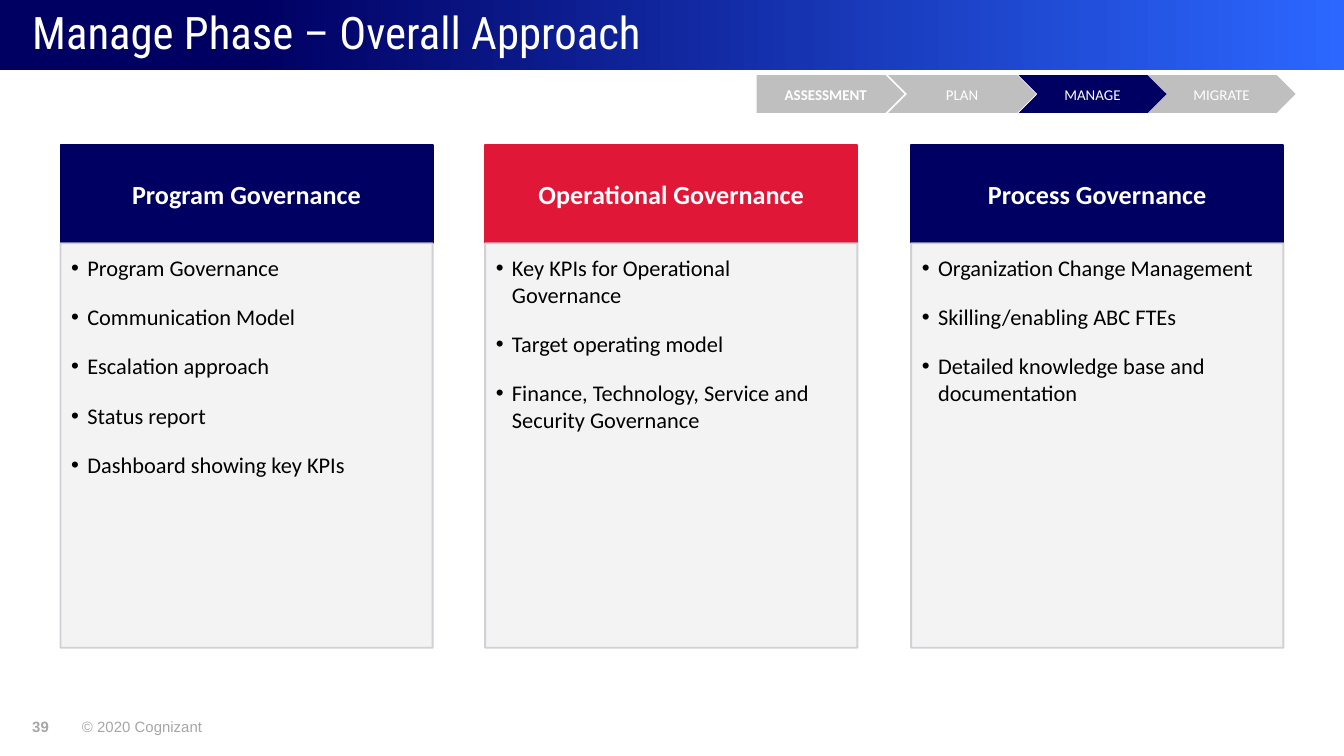
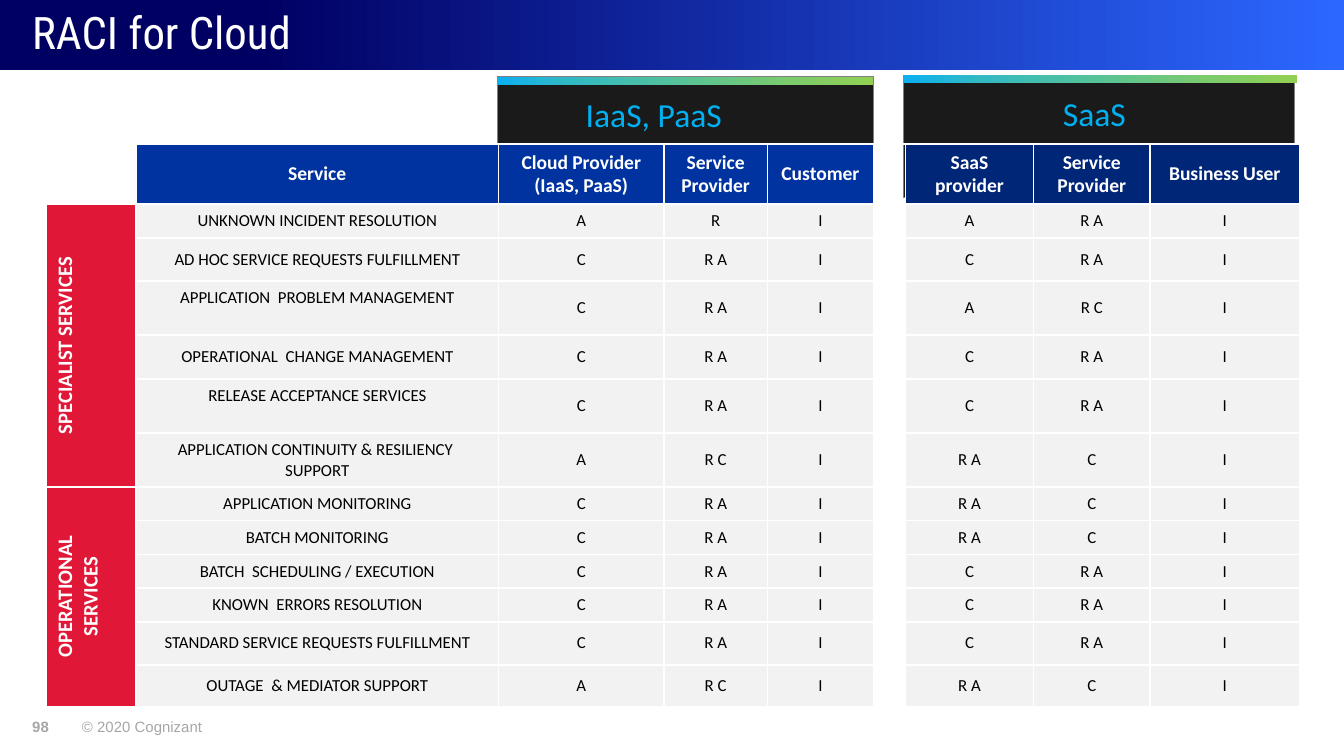
"""Builds two slides on cloud governance: the manage phase and the RACI table."""
from lxml import etree
from pptx import Presentation
from pptx.dml.color import RGBColor
from pptx.enum.shapes import MSO_SHAPE
from pptx.enum.text import MSO_ANCHOR, MSO_AUTO_SIZE, PP_ALIGN
from pptx.oxml.ns import qn
from pptx.util import Pt

RECTANGLE, CHEVRON, PENTAGON = MSO_SHAPE.RECTANGLE, MSO_SHAPE.CHEVRON, MSO_SHAPE.PENTAGON
TOP, MIDDLE = MSO_ANCHOR.TOP, MSO_ANCHOR.MIDDLE
LEFT, CENTER = PP_ALIGN.LEFT, PP_ALIGN.CENTER
GROW = MSO_AUTO_SIZE.SHAPE_TO_FIT_TEXT

PX = 9144
NAVY, RED, WHITE, BLACK = "000063", "E11737", "FFFFFF", "000000"
PALE, GREY, FOOTER_GREY, EDGE = "F2F2F2", "BFBFBF", "A6A6A6", "CCCCD3"
ROYAL, DEEP_BLUE, CHARCOAL, MID_GREY, SKY = "0033A0", "002678", "1A1A1A", "808080", "00B0F0"
BAND_STOPS = [(19, NAVY), (100, "2C67FF")]
STRIPE_STOPS = [(0, "0BB0F0"), (19, "31B9C4"), (78, "7CCB6C"), (100, "92D053")]
BODY_FONT, TITLE_FONT, FOOTER_FONT = "Calibri", "Roboto Condensed", "Arial"
NO_INSETS, CELL_INSETS = (0, 0, 0, 0), (10, 5, 10, 5)

PHASES = [("ASSESSMENT", 563), ("PLAN", 661), ("MANAGE", 758), ("MIGRATE", 854)]
CARDS = [
    ("Program Governance", NAVY,
     ["Program Governance", "Communication Model", "Escalation approach",
      "Status report", "Dashboard showing key KPIs"]),
    ("Operational Governance", RED,
     ["Key KPIs for Operational Governance", "Target operating model",
      "Finance, Technology, Service and Security Governance"]),
    ("Process Governance", NAVY,
     ["Organization Change Management", "Skilling/enabling ABC FTEs",
      "Detailed knowledge base and documentation"]),
]

HEADINGS = ["", "Service", "Cloud Provider (IaaS, PaaS)", "Service Provider", "Customer", "",
            "SaaS provider", "Service Provider", "Business User"]
SERVICES = [
    ("UNKNOWN INCIDENT RESOLUTION", "A", "R", "I", "A", "R A", "I"),
    ("AD HOC SERVICE REQUESTS FULFILLMENT", "C", "R A", "I", "C", "R A", "I"),
    ("APPLICATION  PROBLEM MANAGEMENT", "C", "R A", "I", "A", "R C", "I"),
    ("OPERATIONAL  CHANGE MANAGEMENT", "C", "R A", "I", "C", "R A", "I"),
    ("RELEASE ACCEPTANCE SERVICES", "C", "R A", "I", "C", "R A", "I"),
    ("APPLICATION CONTINUITY & RESILIENCY  SUPPORT", "A", "R C", "I", "R A", "C", "I"),
    ("APPLICATION MONITORING", "C", "R A", "I", "R A", "C", "I"),
    ("BATCH MONITORING", "C", "R A", "I", "R A", "C", "I"),
    ("BATCH  SCHEDULING / EXECUTION", "C", "R A", "I", "C", "R A", "I"),
    ("KNOWN  ERRORS RESOLUTION", "C", "R A", "I", "C", "R A", "I"),
    ("STANDARD SERVICE REQUESTS FULFILLMENT", "C", "R A", "I", "C", "R A", "I"),
    ("OUTAGE  & MEDIATOR SUPPORT", "A", "R C", "I", "R A", "C", "I"),
]
SERVICE_GROUPS = {1: "SPECIALIST SERVICES", 7: "OPERATIONAL SERVICES"}
GROUP_SIZE, SPACER_COLUMN = 6, 5
RAISED_ROWS = (3, 5)
COLUMN_WIDTHS = [67, 270, 123, 77, 79, 23, 95, 87, 111]
ROW_HEIGHTS = [45, 25, 32, 40, 33, 40, 40, 25, 25, 25, 25, 32, 30]


def rgb(color):
    """Turn a hex string into a colour."""
    return RGBColor.from_string(color)


def add_color(parent, color):
    """Append a solid colour element to an XML parent."""
    return etree.SubElement(parent, qn("a:srgbClr"), val=color)


class SlideBuilder:
    """Holds the deck's style and draws on the current slide."""

    def __init__(self):
        """Start a widescreen deck."""
        self.deck = Presentation()
        self.deck.slide_width = 1000 * PX
        self.deck.slide_height = 1125 * PX // 2
        self.page = None

    def start(self, title, number):
        """Add a page with its title band and footer."""
        self.page = self.deck.slides.add_slide(self.deck.slide_layouts[6])
        self.gradient_bar((0, 0, 1000, 52), BAND_STOPS)
        box = self.label((24, 0, 870, 52), title, 24, WHITE, TITLE_FONT,
                         insets=NO_INSETS, anchor=MIDDLE, wrap=True)
        box.text_frame.paragraphs[0].line_spacing = 0.9
        for left, width, text, bold in ((24, 14, str(number), True),
                                        (61, 91, "© 2020 Cognizant", False)):
            self.label((left, 534, width, 13), text, 8, FOOTER_GREY, FOOTER_FONT, bold, NO_INSETS)

    def set_text(self, frame, lines, size, color, font=BODY_FONT, bold=False, align=LEFT):
        """Fill a text frame with evenly styled paragraphs."""
        frame.text = "\n".join(lines)
        for para in frame.paragraphs:
            para.alignment = align
            para.font.name = font
            para.font.size = Pt(size)
            para.font.bold = bold
            para.font.color.rgb = rgb(color)

    def inset(self, target, insets):
        """Set the left, top, right and bottom margins of a frame or cell."""
        for side, length in zip(("left", "top", "right", "bottom"), insets):
            setattr(target, f"margin_{side}", length * PX)

    def label(self, place, text, size, color, font=BODY_FONT, bold=False,
              insets=CELL_INSETS, anchor=TOP, wrap=False):
        """Add a text box."""
        box = self.page.shapes.add_textbox(*(length * PX for length in place))
        frame = box.text_frame
        frame.word_wrap = wrap
        if not wrap:
            frame.auto_size = GROW
        frame.vertical_anchor = anchor
        self.inset(frame, insets)
        self.set_text(frame, [text], size, color, font, bold)
        return box

    def shape(self, place, fill, kind=RECTANGLE, line=None, weight=1):
        """Add a preset shape with a solid fill."""
        shape = self.page.shapes.add_shape(kind, *(length * PX for length in place))
        shape.shadow.inherit = False
        shape.fill.solid()
        shape.fill.fore_color.rgb = rgb(fill)
        if line:
            shape.line.color.rgb = rgb(line)
            shape.line.width = Pt(weight)
        else:
            shape.line.fill.background()
        return shape

    def gradient_bar(self, place, stops):
        """Add a rectangle shaded from left to right."""
        bar = self.shape(place, WHITE)
        bar.fill.gradient()
        bar.fill.gradient_angle = 0
        stop_list = next(bar._element.spPr.iter(qn("a:gsLst")))
        for stop in list(stop_list):
            stop_list.remove(stop)
        for position, color in stops:
            add_color(etree.SubElement(stop_list, qn("a:gs"), pos=str(position * 1000)), color)

    def phase(self, name, left, current):
        """Add one step of the phase tracker."""
        first = name == PHASES[0][0]
        step = self.shape((left, 56, 110, 28), NAVY if name == current else GREY,
                          PENTAGON if first else CHEVRON)
        step.text_frame.vertical_anchor = MIDDLE
        self.set_text(step.text_frame, [name], 8, WHITE, bold=first, align=CENTER)

    def card(self, left, heading, color, points):
        """Add a headed card with a bulleted list."""
        header = self.shape((left, 108, 277, 73), color, line=color)
        header.text_frame.vertical_anchor = MIDDLE
        self.set_text(header.text_frame, [heading], 14, WHITE, bold=True, align=CENTER)
        body = self.shape((left, 181, 277, 301), PALE, line=EDGE)
        for tint in body._element.spPr.iter(qn("a:srgbClr")):
            etree.SubElement(tint, qn("a:alpha"), val="90000")
        frame = body.text_frame
        frame.vertical_anchor = TOP
        self.inset(frame, (8, 8, 11, 12))
        frame.text = "\n".join(points)
        for index, para in enumerate(frame.paragraphs):
            settings = para._p.get_or_add_pPr()
            settings.set("marL", str(12 * PX))
            settings.set("indent", str(-12 * PX))
            para.space_before = Pt(6 if index else 0)
            para.space_after = Pt(6)
            etree.SubElement(settings, qn("a:buFont"), typeface=FOOTER_FONT)
            etree.SubElement(settings, qn("a:buChar"), char="•")
            para.alignment = LEFT
            para.font.name = BODY_FONT
            para.font.size = Pt(12)
            para.font.color.rgb = rgb(BLACK)

    def cell(self, cell, text, size, color, fill=None, bold=False):
        """Style one table cell with white borders."""
        cell.vertical_anchor = MIDDLE
        self.inset(cell, CELL_INSETS)
        self.set_text(cell.text_frame, [text], size, color, bold=bold, align=CENTER)
        settings = cell._tc.get_or_add_tcPr()
        for side in ("a:lnL", "a:lnR", "a:lnT", "a:lnB"):
            border = etree.SubElement(settings, qn(side), w=str(Pt(1)))
            add_color(etree.SubElement(border, qn("a:solidFill")), WHITE)
        if fill:
            cell.fill.solid()
            cell.fill.fore_color.rgb = rgb(fill)
        else:
            cell.fill.background()

    def raci_table(self, left, top):
        """Add the responsibility table."""
        table = self.page.shapes.add_table(
            len(ROW_HEIGHTS), len(COLUMN_WIDTHS), left * PX, top * PX,
            sum(COLUMN_WIDTHS) * PX, sum(ROW_HEIGHTS) * PX).table
        table.first_row = table.horz_banding = False
        for column, width in zip(table.columns, COLUMN_WIDTHS):
            column.width = width * PX
        for row, height in zip(table.rows, ROW_HEIGHTS):
            row.height = height * PX
        for column, heading in enumerate(HEADINGS):
            fill = (ROYAL if column < SPACER_COLUMN else DEEP_BLUE) if heading else None
            self.cell(table.cell(0, column), heading, 10.5, WHITE, fill, True)
        for row, (service, *roles) in enumerate(SERVICES, 1):
            group = SERVICE_GROUPS.get(row, "")
            self.cell(table.cell(row, 0), group, 11 if group else 9, WHITE, RED, True)
            values = [service, *roles[:3], "", *roles[3:]]
            for column, value in enumerate(values, 1):
                self.cell(table.cell(row, column), value, 9, BLACK, PALE if value else None)
        for row in RAISED_ROWS:
            table.cell(row, 1).margin_bottom = 20 * PX
        for row in SERVICE_GROUPS:
            table.cell(row, 0).merge(table.cell(row + GROUP_SIZE - 1, 0))
            table.cell(row, 0)._tc.get_or_add_tcPr().set("vert", "vert270")
        table.cell(0, SPACER_COLUMN).merge(table.cell(len(SERVICES), SPACER_COLUMN))


def main():
    """Build both pages and save the deck."""
    builder = SlideBuilder()

    builder.start("Manage Phase – Overall Approach", 39)
    for index, (heading, color, points) in enumerate(CARDS):
        builder.card(45 + index * 633 // 2, heading, color, points)
    for name, left in reversed(PHASES):
        builder.phase(name, left, "MANAGE")

    builder.start("RACI for Cloud", 98)
    for left, top, width, stripe_width in ((672, 56, 291, 293), (370, 57, 280, 280)):
        builder.shape((left, top, width, 91), CHARCOAL, line=MID_GREY, weight=0.5)
        builder.gradient_bar((left, top, stripe_width, 6), STRIPE_STOPS)
    builder.raci_table(34, 107)
    builder.label((426, 65, 123, 40), "IaaS, PaaS", 18, SKY)
    builder.label((781, 64, 68, 40), "SaaS", 18, SKY)

    builder.deck.save("out.pptx")


if __name__ == "__main__":
    main()
